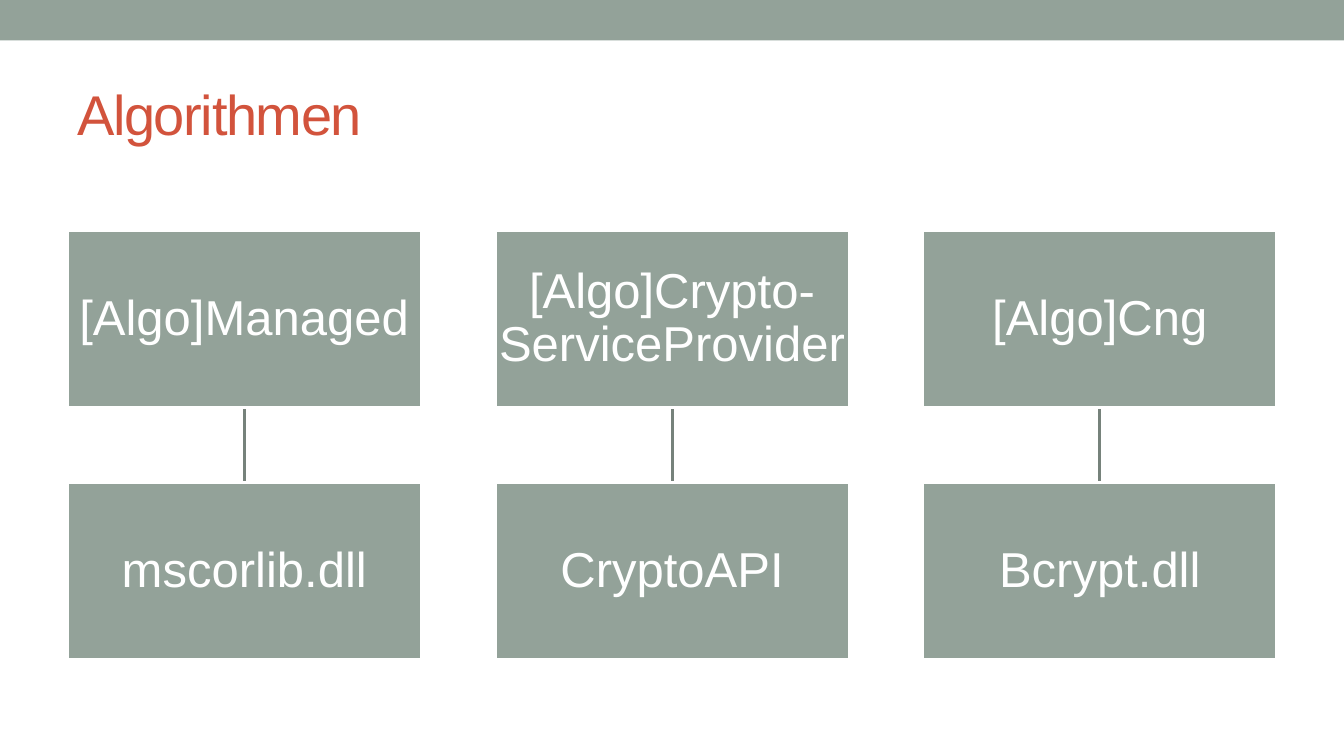
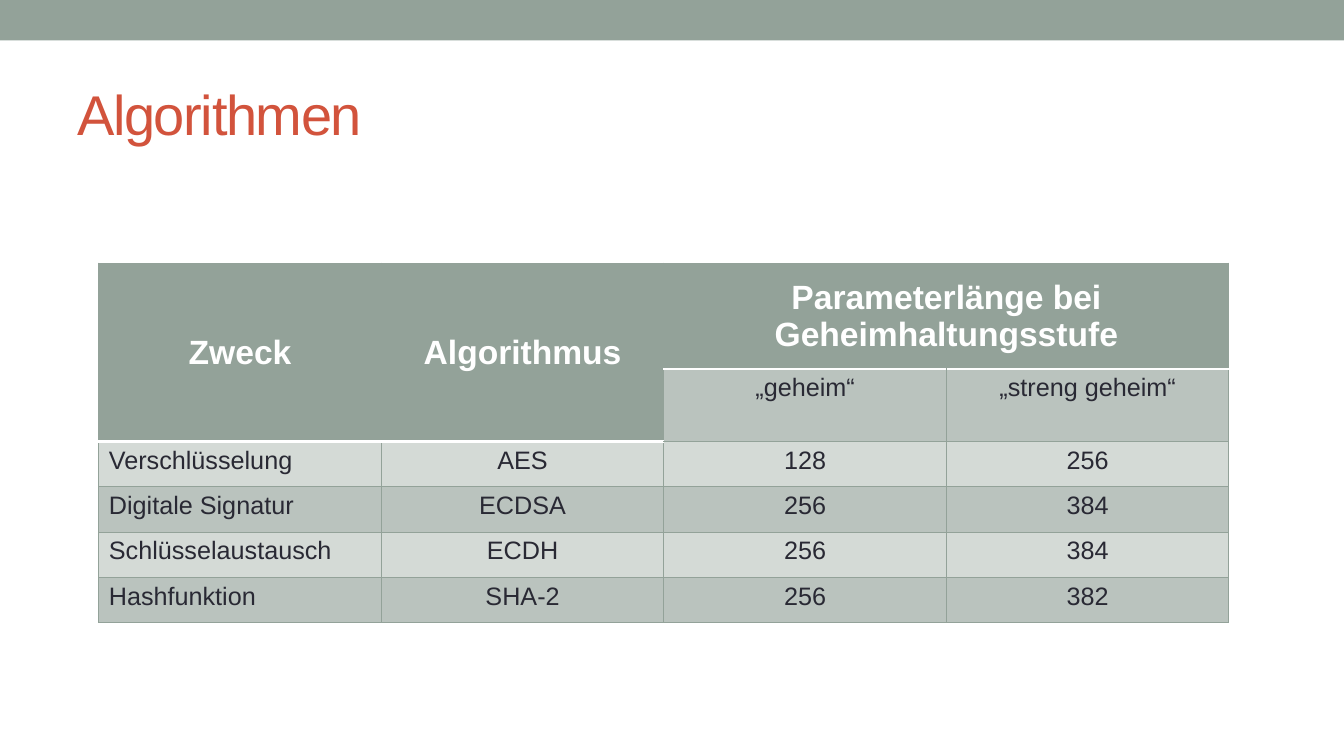
from lxml import etree
from pptx import Presentation, util as u
from pptx.dml.color import RGBColor
from pptx.enum import shapes, text
from pptx.oxml import ns

COLORS = {
    "sage": "93A299",
    "sage_mid": "BAC3BE",
    "sage_light": "D4DAD6",
    "line": "76827B",
    "title": "D2533C",
    "ink": "292934",
    "white": "FFFFFF",
}
FONT = "Arial"
SLIDE_WIDTH, SLIDE_HEIGHT = u.Cm(33.87), u.Cm(19.05)
LINE_WIDTH = 2.08
TITLE = "Algorithmen"

PROVIDERS = [
    ("[Algo]Managed", "mscorlib.dll"),
    ("[Algo]Crypto-ServiceProvider", "CryptoAPI"),
    ("[Algo]Cng", "Bcrypt.dll"),
]

HEADINGS = [
    ["Zweck", "Algorithmus", "Parameterlänge bei Geheimhaltungsstufe", ""],
    ["", "", "„geheim“", "„streng geheim“"],
]
ALGORITHMS = [
    ["Verschlüsselung", "AES", "128", "256"],
    ["Digitale Signatur", "ECDSA", "256", "384"],
    ["Schlüsselaustausch", "ECDH", "256", "384"],
    ["Hashfunktion", "SHA-2", "256", "382"],
]
HEADER_CELLS = {(0, 0), (0, 1), (0, 2), (0, 3), (1, 0), (1, 1)}


def rgb(name):
    """Return the named palette colour."""
    return RGBColor.from_string(COLORS[name])


def add_run(paragraph, wording, size, color, bold=False):
    """Append one formatted run to a paragraph."""
    run = paragraph.add_run()
    run.text = wording
    run.font.name = FONT
    run.font.size = u.Pt(size)
    run.font.bold = bold
    run.font.color.rgb = rgb(color)
    return run


def add_rectangle(slide, left, top, width, height, outline=None):
    """Add a sage rectangle, with an outline colour if one is given."""
    shape = slide.shapes.add_shape(
        shapes.MSO_SHAPE.RECTANGLE, left, top, width, height)
    shape.shadow.inherit = False
    shape.fill.solid()
    shape.fill.fore_color.rgb = rgb("sage")
    if outline:
        shape.line.color.rgb = rgb(outline)
        shape.line.width = u.Pt(LINE_WIDTH)
    else:
        shape.line.fill.background()
    return shape


def add_title(slide, wording):
    """Add the slide title with tightened letter spacing."""
    box = slide.shapes.add_textbox(u.Cm(1.7), u.Cm(1.47), u.Cm(30.48), u.Cm(2.74))
    frame = box.text_frame
    frame.word_wrap = True
    frame.vertical_anchor = text.MSO_ANCHOR.MIDDLE
    run = add_run(frame.paragraphs[0], wording, 40, "title")
    run._r.get_or_add_rPr().set("spc", "-100")


def add_slide(presentation, title):
    """Add a blank slide with the shared top band and title."""
    slide = presentation.slides.add_slide(presentation.slide_layouts[6])
    add_rectangle(slide, 0, 0, SLIDE_WIDTH, u.Cm(1.02))
    add_title(slide, title)
    return slide


def add_box(slide, wording, left, top, width, height):
    """Add a labelled diagram box."""
    shape = add_rectangle(slide, left, top, width, height, "white")
    frame = shape.text_frame
    frame.word_wrap = True
    frame.vertical_anchor = text.MSO_ANCHOR.MIDDLE
    frame.margin_left = frame.margin_right = u.Cm(0.05)
    frame.margin_top = frame.margin_bottom = u.Cm(0.05)
    paragraph = frame.paragraphs[0]
    paragraph.alignment = text.PP_ALIGN.CENTER
    paragraph.line_spacing = 0.9
    add_run(paragraph, wording, 35, "white")


def add_link(slide, x, top, bottom):
    """Add a vertical line between two boxes."""
    connector = slide.shapes.add_connector(
        shapes.MSO_CONNECTOR.STRAIGHT, x, top, x, bottom)
    connector.line.color.rgb = rgb("line")
    connector.line.width = u.Pt(LINE_WIDTH)
    etree.SubElement(connector._element.spPr, ns.qn("a:effectLst"))


def add_provider_diagram(slide):
    """Draw each class family above the library that implements it."""
    width, height = u.Cm(8.92), u.Cm(4.45)
    upper, lower = u.Cm(5.82), u.Cm(12.17)
    for column, (family, library) in enumerate(PROVIDERS):
        left = u.Cm(1.7 + column * 10.78)
        add_link(slide, left + width // 2, upper + height, lower)
        add_box(slide, family, left, upper, width, height)
        add_box(slide, library, left, lower, width, height)


def set_border(cell, side, color, width):
    """Set one cell border; call before the cell is filled."""
    border = etree.SubElement(
        cell._tc.get_or_add_tcPr(), ns.qn("a:ln" + side), w=str(u.Pt(width)))
    fill = etree.SubElement(border, ns.qn("a:solidFill"))
    etree.SubElement(fill, ns.qn("a:srgbClr"), val=COLORS[color])


def style_cell(cell, row, column):
    """Apply borders and fill according to the cell's place."""
    white_edges = {
        "T": (row - 1, column) in HEADER_CELLS,
        "B": (row, column) in HEADER_CELLS,
    }
    for side in "LRTB":
        if white_edges.get(side):
            set_border(cell, side, "white", LINE_WIDTH)
        else:
            set_border(cell, side, "sage", 0.75)
    band = "sage_mid" if row % 2 else "sage_light"
    cell.fill.solid()
    cell.fill.fore_color.rgb = rgb(
        "sage" if (row, column) in HEADER_CELLS else band)


def write_cell(cell, wording, row, column):
    """Write a heading or body cell."""
    heading = (row, column) in HEADER_CELLS
    paragraph = cell.text_frame.paragraphs[0]
    if heading:
        cell.vertical_anchor = text.MSO_ANCHOR.MIDDLE
    if heading or column > 0:
        paragraph.alignment = text.PP_ALIGN.CENTER
    add_run(paragraph, wording, 24 if heading else 18,
            "white" if heading else "ink", heading)


def add_algorithm_table(slide):
    """Add the table of algorithms and parameter lengths."""
    rows = HEADINGS + ALGORITHMS
    heights = [2.67, 1.83] + [1.14] * len(ALGORITHMS)
    column_width = 7.12
    column_count = len(rows[0])
    table = slide.shapes.add_table(
        len(rows), column_count, u.Cm(2.49), u.Cm(6.63),
        u.Cm(column_width * column_count), u.Cm(sum(heights))).table
    table.first_row = table.horz_banding = False
    for table_column in table.columns:
        table_column.width = u.Cm(column_width)
    for row, (height, wordings) in enumerate(zip(heights, rows)):
        table.rows[row].height = u.Cm(height)
        for column, wording in enumerate(wordings):
            cell = table.cell(row, column)
            style_cell(cell, row, column)
            if wording:
                write_cell(cell, wording, row, column)
    for column in (0, 1):
        table.cell(0, column).merge(table.cell(1, column))
    table.cell(0, 2).merge(table.cell(0, 3))


def main():
    """Build and save the presentation."""
    presentation = Presentation()
    presentation.slide_width = SLIDE_WIDTH
    presentation.slide_height = SLIDE_HEIGHT
    add_provider_diagram(add_slide(presentation, TITLE))
    add_algorithm_table(add_slide(presentation, TITLE))
    presentation.save("out.pptx")


main()
